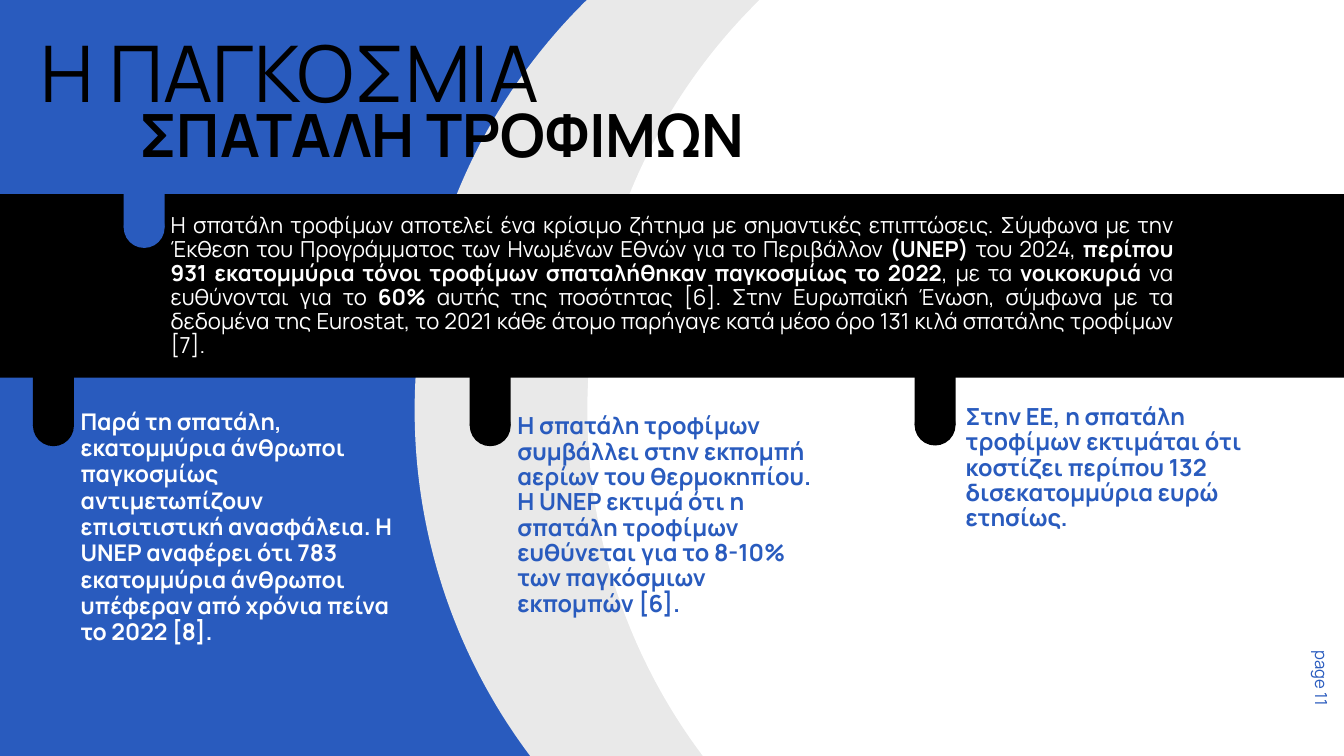
from dataclasses import dataclass

import pptx
import pptx.dml.color
import pptx.enum.shapes
import pptx.enum.text
import pptx.util
from pptx.util import Inches

BLUE, BLACK, WHITE, GREY = "295BBE", "000000", "FFFFFF", "E9E9E9"
FONT = "Manrope"
DISC_SIZE = 17.11
PEG_WIDTH = 0.61
SHAPES = pptx.enum.shapes.MSO_SHAPE
ALIGN = pptx.enum.text.PP_ALIGN


@dataclass
class Peg:
    left: float
    top: float
    bottom: float
    color: str


@dataclass
class Label:
    left: float
    top: float
    width: float
    height: float
    spans: list[str]  # every second span is bold in mixed text
    size: float
    spacing: float
    color: str
    bold: bool = False
    align: ALIGN = ALIGN.LEFT
    rotation: float = 0


DISCS = [(6.17, GREY), (8.74, WHITE)]

PEGS = [
    Peg(0.49, 5.5, 6.64, BLACK),
    Peg(6.99, 5.33, 6.64, BLACK),
    Peg(13.61, 5.58, 6.63, BLACK),
    Peg(1.84, 2.69, 3.69, BLUE),
]

LABELS = [
    # Title
    Label(0.6, 0.5, 7.95, 1.38, ["Η ΠΑΓΚΟΣΜΙΑ"], 83.7, 90.3, BLACK),
    Label(2.07, 1.57, 9.62, 1.05, ["ΣΠΑΤΑΛΗ ΤΡΟΦΙΜΩΝ"], 63.9, 69, BLACK, bold=True),
    # Introduction in the band
    Label(2.54, 3.19, 14.92, 2.16, [
        "Η σπατάλη τροφίμων αποτελεί ένα κρίσιμο ζήτημα με σημαντικές επιπτώσεις. "
        "Σύμφωνα με την Έκθεση του Προγράμματος των Ηνωμένων Εθνών για το Περιβάλλον ",
        "(UNEP)",
        " του 2024, ",
        "περίπου 931 εκατομμύρια τόνοι τροφίμων σπαταλήθηκαν παγκοσμίως το 2022",
        ", με τα ",
        "νοικοκυριά",
        " να ευθύνονται για το ",
        "60%",
        " αυτής της ποσότητας [6]. Στην Ευρωπαϊκή Ένωση, σύμφωνα με τα δεδομένα της "
        "Eurostat, το 2021 κάθε άτομο παρήγαγε κατά μέσο όρο 131 κιλά σπατάλης "
        "τροφίμων [7].",
    ], 23.7, 25.6, WHITE, align=ALIGN.JUSTIFY),
    # Three facts
    Label(1.2, 6.08, 4.65, 3.51, [
        "Παρά τη σπατάλη, εκατομμύρια άνθρωποι παγκοσμίως αντιμετωπίζουν "
        "επισιτιστική ανασφάλεια. Η UNEP αναφέρει ότι 783 εκατομμύρια άνθρωποι "
        "υπέφεραν από χρόνια πείνα το 2022 [8].",
    ], 24.6, 28.2, WHITE, bold=True),
    Label(7.7, 6.16, 4.6, 3.04, [
        "Η σπατάλη τροφίμων συμβάλλει στην εκπομπή αερίων του θερμοκηπίου. "
        "Η UNEP εκτιμά ότι η σπατάλη τροφίμων ευθύνεται για το 8-10% των "
        "παγκόσμιων εκπομπών [6].",
    ], 25.2, 27.2, BLUE, bold=True),
    Label(14.37, 6.02, 4.24, 1.92, [
        "Στην ΕΕ, η σπατάλη τροφίμων εκτιμάται ότι κοστίζει περίπου 132 "
        "δισεκατομμύρια ευρώ ετησίως.",
    ], 25.2, 27.2, BLUE, bold=True),
    # Page number
    Label(19.13, 10.04, 1.02, 0.3, ["page 11"], 17.9, 19.3, BLUE, rotation=90),
]


def rgb(color: str) -> pptx.dml.color.RGBColor:
    return pptx.dml.color.RGBColor.from_string(color)


def add_block(page, kind: SHAPES, left: float, top: float, width: float,
              height: float, color: str):
    block = page.shapes.add_shape(
        kind, Inches(left), Inches(top), Inches(width), Inches(height))
    block.shadow.inherit = False
    block.fill.solid()
    block.fill.fore_color.rgb = rgb(color)
    block.line.fill.background()
    return block


def add_peg(page, peg: Peg) -> None:
    """A bar with a round lower end."""
    add_block(page, SHAPES.OVAL, peg.left, peg.bottom - PEG_WIDTH,
              PEG_WIDTH, PEG_WIDTH, peg.color)
    add_block(page, SHAPES.RECTANGLE, peg.left, peg.top, PEG_WIDTH,
              peg.bottom - PEG_WIDTH / 2 - peg.top, peg.color)


def add_label(page, label: Label) -> None:
    box = page.shapes.add_textbox(
        Inches(label.left), Inches(label.top), Inches(label.width), Inches(label.height))
    box.rotation = label.rotation
    frame = box.text_frame
    frame.word_wrap = True
    frame.margin_left = frame.margin_right = frame.margin_top = frame.margin_bottom = 0
    para = frame.paragraphs[0]
    para.alignment = label.align
    para.line_spacing = pptx.util.Pt(label.spacing)
    for index, words in enumerate(label.spans):
        span = para.add_run()
        span.text = words
        span.font.name = FONT
        span.font.size = pptx.util.Pt(label.size)
        span.font.bold = label.bold or index % 2 == 1
        span.font.color.rgb = rgb(label.color)


def main() -> None:
    deck = pptx.Presentation()
    deck.slide_width, deck.slide_height = Inches(20), Inches(11.25)
    page = deck.slides.add_slide(deck.slide_layouts[6])
    page.background.fill.solid()
    page.background.fill.fore_color.rgb = rgb(BLUE)

    # Background discs and the band across the page
    for left, color in DISCS:
        add_block(page, SHAPES.OVAL, left, -2.45, DISC_SIZE, DISC_SIZE, color)
    band = add_block(page, SHAPES.ROUNDED_RECTANGLE, -0.58, 2.89, 21.16, 2.73, BLACK)
    band.adjustments[0] = 0.03

    for peg in PEGS:
        add_peg(page, peg)
    for label in LABELS:
        add_label(page, label)

    deck.save("out.pptx")


if __name__ == "__main__":
    main()
